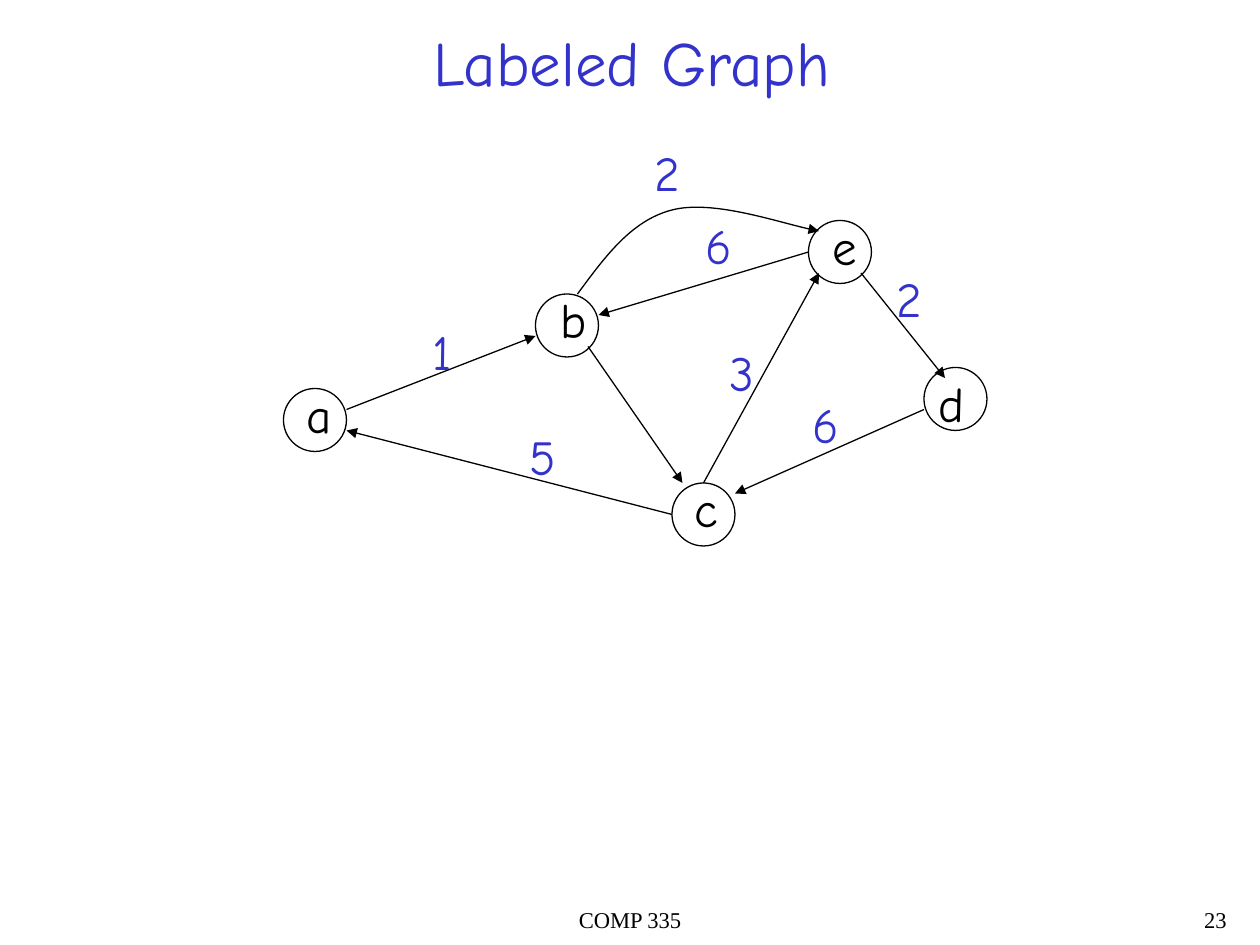
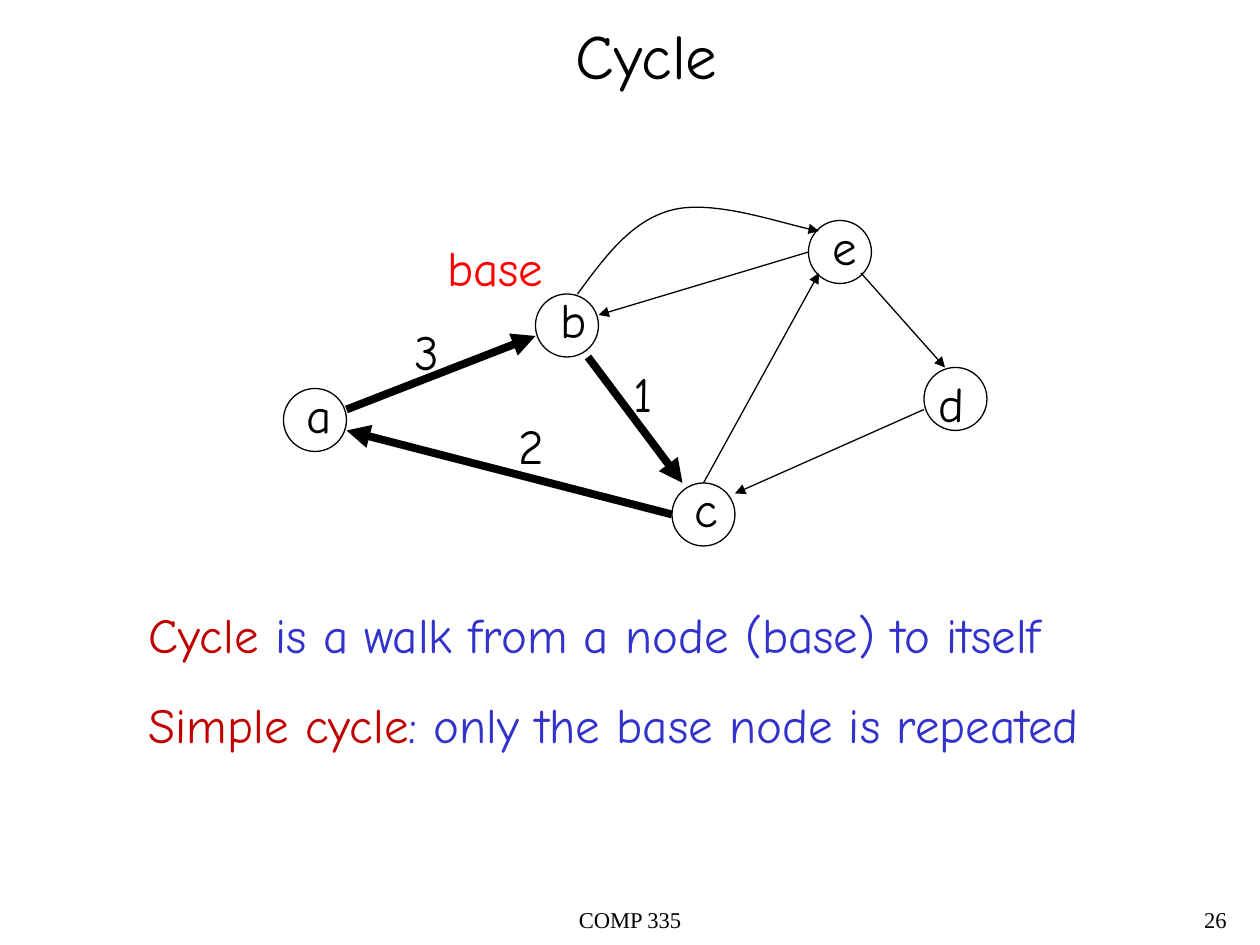
import pptx
import pptx.util
import pptx.dml.color
import pptx.enum.text
import pptx.enum.shapes
import pptx.oxml
import pptx.oxml.ns

Pt = pptx.util.Pt
ALIGN = pptx.enum.text.PP_ALIGN
FIT = pptx.enum.text.MSO_AUTO_SIZE
INK = {"black": "000000", "blue": "3333CC", "wine": "C00000", "red": "FF0000"}
HAND, SERIF = "Comic Neue", "Times New Roman"
INSETS = {"margin_left": Pt(7.2), "margin_right": Pt(7.2),
          "margin_top": Pt(3.6), "margin_bottom": Pt(3.6)}
LOOSE = {**INSETS, "word_wrap": False, "auto_size": FIT.SHAPE_TO_FIT_TEXT}
FIXED = {**INSETS, "word_wrap": True, "auto_size": FIT.NONE}
TITLE = {"frame": LOOSE, "para": {"space_before": Pt(22.5)},
         "font": {"size": Pt(36), "name": HAND}}
BODY = {"frame": LOOSE, "para": {"space_before": Pt(17.5)},
        "font": {"size": Pt(28), "name": HAND}}
FOOT = {"frame": FIXED, "para": {"line_spacing": 0.9},
        "font": {"size": Pt(12.9), "name": SERIF}}

GRAPH = (162, 114)
SIDE = 36
THIN, THICK = 0.75, 4.5
WIDTHS = {"1": 25.2, "2": 28.8, "3": 28.1, "5": 29.5, "6": 29.5, "a": 28.8,
          "b": 29.5, "c": 27.4, "d": 28.8, "e": 28.1, "base": 69.1}
NODES = {"c": ((222, 162), (6, -6)), "b": ((144, 54), (7.2, -6)),
         "d": ((366, 96), (1.2, 0)), "a": ((0, 108), (6, -6)),
         "e": ((300, 12), (6.7, -6))}
EDGES = {"ab": ((36, 120), (144, 78)), "bc": ((174, 84), (228, 162)),
         "ce": ((240, 162), (306, 42)), "dc": ((366, 120), (258, 168)),
         "ca": ((222, 180), (36, 132)), "ed": ((330, 42), (378, 102)),
         "eb": ((300, 30), (180, 66))}
CURVE = [(168, 54), (183.6, 32.9), (198.7, 12), (222, 6),
         (244.8, 0), (288.7, 15), (306, 18)]


def apply(thing, values):
    """Set each attribute named in a dict."""
    for name, value in values.items():
        setattr(thing, name, value)


def write(slide, box, paras, style, align=ALIGN.LEFT):
    """Add a text box whose paragraphs are lists of (words, colour)."""
    frame = slide.shapes.add_textbox(*map(Pt, box)).text_frame
    apply(frame, style["frame"])
    for index, runs in enumerate(paras):
        para = frame.add_paragraph() if index else frame.paragraphs[0]
        apply(para, {**style["para"], "alignment": align})
        for words, ink in runs:
            run = para.add_run()
            run.text = words
            apply(run.font, style["font"])
            run.font.color.rgb = pptx.dml.color.RGBColor.from_string(INK[ink])


def stroke(shape, width, arrow=False):
    """Draw a black outline, with an arrowhead if wanted."""
    shape.line.fill.solid()
    shape.line.fill.fore_color.rgb = pptx.dml.color.RGBColor.from_string(INK["black"])
    shape.line.width = Pt(width)
    if arrow:
        line = shape.element.spPr.find(pptx.oxml.ns.qn("a:ln"))
        pptx.oxml.ns.qn("a:tailEnd")
        tail = line.makeelement(pptx.oxml.ns.qn("a:tailEnd"), {"type": "triangle"})
        line.append(tail)


def hollow(shape):
    """Remove the fill and shadow of a shape."""
    shape.fill.background()
    shape.shadow.inherit = False


def shift(box, point):
    """Move a point by the corner of a box."""
    return box[0] + point[0], box[1] + point[1]


def label(slide, place, words, ink):
    """Write one graph label at a place."""
    write(slide, (*place, WIDTHS[words], 41), [[(words, ink)]], BODY)


def edge(slide, start, end, width):
    """Join two points with an arrow."""
    link = slide.shapes.add_connector(
        pptx.enum.shapes.MSO_CONNECTOR.STRAIGHT, *map(Pt, (*start, *end)))
    stroke(link, width, True)
    props = link.element.spPr
    props.append(props.makeelement(pptx.oxml.ns.qn("a:effectLst"), {}))


def bend(slide, box):
    """Draw the curved arrow from b to e."""
    first, *rest = [tuple(map(Pt, shift(box, point))) for point in CURVE]
    maker = slide.shapes.build_freeform(*first)
    maker.add_line_segments(rest, close=False)
    arc = maker.convert_to_shape()
    hollow(arc)
    stroke(arc, THIN, True)
    qn = pptx.oxml.ns.qn
    steps = list(arc.element.iter(qn("a:lnTo")))
    track = steps[0].getparent()
    for index in range(0, len(steps), 3):
        cubic = track.makeelement(qn("a:cubicBezTo"), {})
        track.append(cubic)
        for step in steps[index:index + 3]:
            cubic.append(step[0])
            track.remove(step)


def graph(slide, box, labels, bold=(), moved=None):
    """Draw the five nodes, their arrows and the labels."""
    for corner, _ in NODES.values():
        ring = slide.shapes.add_shape(
            pptx.enum.shapes.MSO_SHAPE.OVAL,
            *map(Pt, (*shift(box, corner), SIDE, SIDE)))
        hollow(ring)
        stroke(ring, THIN)
    for name, (start, end) in {**EDGES, **(moved or {})}.items():
        edge(slide, shift(box, start), shift(box, end),
             THICK if name in bold else THIN)
    bend(slide, box)
    for name, (corner, offset) in NODES.items():
        label(slide, shift(box, shift(corner, offset)), name, "black")
    for words, place, ink in labels:
        label(slide, shift(box, place), words, ink)


def frame(deck, title, box, ink, number):
    """Add a blank slide with its title and footer."""
    slide = deck.slides.add_slide(deck.slide_layouts[6])
    write(slide, (246, 516, 228, 24), [[("COMP 335", "black")]], FOOT, ALIGN.CENTER)
    write(slide, (558, 516, 150, 24), [[(number, "black")]], FOOT, ALIGN.RIGHT)
    write(slide, box, [[(title, ink)]], TITLE)
    return slide


def labeled(deck):
    """Build the slide with numbered arrows."""
    slide = frame(deck, "Labeled Graph", (240.5, 10, 242, 50.4), "blue", "23")
    marks = [("1", (78, 66)), ("3", (247.7, 78)), ("5", (133.2, 126)),
             ("6", (295.2, 108)), ("2", (343.4, 36)), ("6", (234, 5.5)),
             ("2", (205.2, -36))]
    graph(slide, GRAPH, [(*mark, "blue") for mark in marks])


def cycle(deck):
    """Build the slide that shows a cycle from its base."""
    slide = frame(deck, "Cycle", (322, 6, 95.8, 50.4), "black", "26")
    marks = [("1", (193, 90), "black"), ("2", (127.4, 120), "black"),
             ("3", (67.7, 66), "black"), ("base", (86.4, 18), "red")]
    moved = {"bc": ((174, 90), (228, 162)), "ed": ((330, 42), (378, 96))}
    graph(slide, GRAPH, marks, ("ab", "bc", "ca"), moved)
    write(slide, (78, 342, 556.6, 92), [
        [("Cycle", "wine"), (" is a walk from a node (base) to itself", "blue")],
        [("Simple cycle", "wine"), (": only the base node is repeated", "blue")],
    ], BODY)


def main():
    """Build and save both slides."""
    deck = pptx.Presentation()
    apply(deck, {"slide_width": Pt(720), "slide_height": Pt(540)})
    labeled(deck)
    cycle(deck)
    deck.save("out.pptx")


if __name__ == "__main__":
    main()
